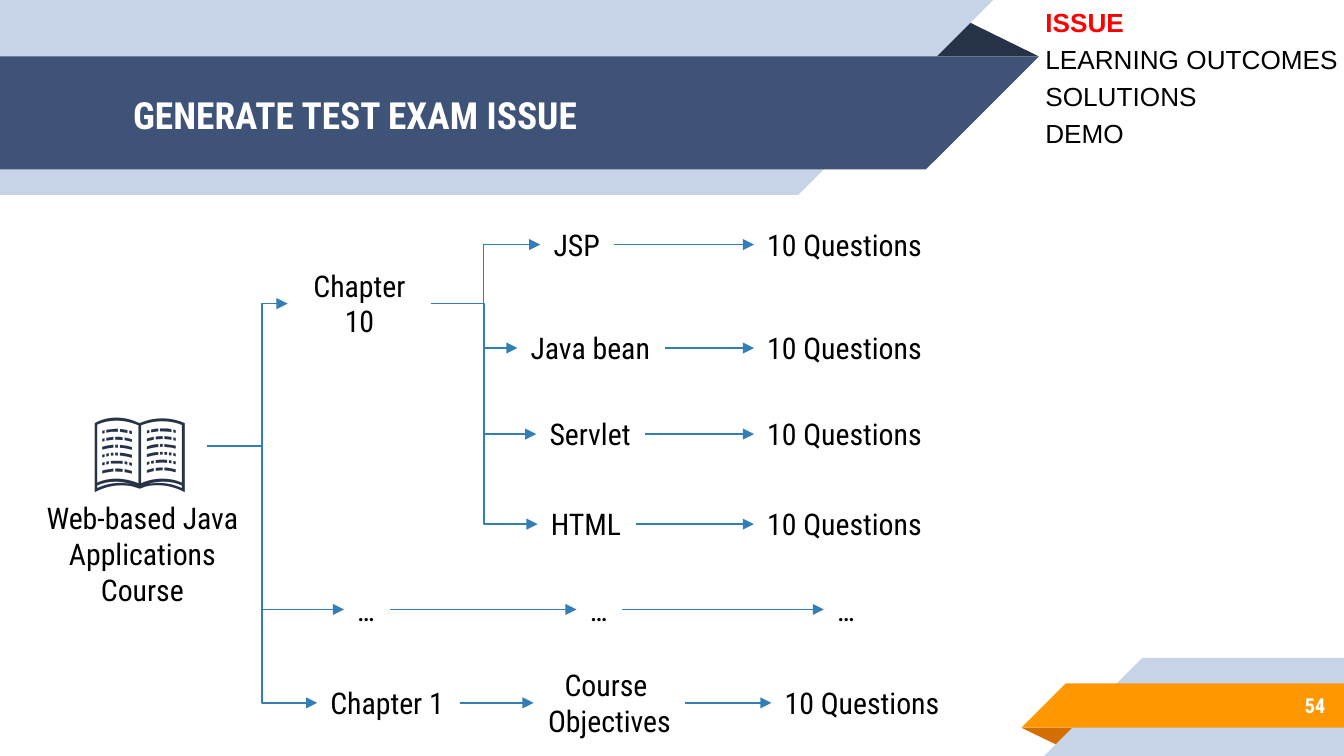
from collections import namedtuple

from lxml.etree import SubElement
from pptx import Presentation
from pptx.dml.color import RGBColor
from pptx.enum.shapes import MSO_CONNECTOR as Connector
from pptx.enum.text import MSO_ANCHOR as Anchor, MSO_AUTO_SIZE as AutoSize, PP_ALIGN as Align
from pptx.oxml.ns import qn
from pptx.util import Inches, Pt

COLORS = {"pale": "C7D3E6", "blue": "3F5378", "navy": "263248", "orange": "FF9800",
          "rust": "D26F00", "arrow": "347EB8", "white": "FFFFFF", "black": "000000",
          "red": "FF0000"}
BODY_FONT = "Roboto Condensed"
COLUMNS, ROWS = 100, 56.25          # the slide as a grid of tenth-inch cells
LINE_ROWS, PAD_ROWS = 2.7, 1.0      # height of a label: its lines and its insets

Box = namedtuple("Box", "left top width height")
Node = namedtuple("Node", "left right middle")


def cells(count):
    """Turn a number of grid cells into a length."""
    return Inches(count / 10)


def color(name):
    """Look up a colour of the palette."""
    return RGBColor.from_string(COLORS[name])


def style(paragraph, size, tint, bold=False, font=BODY_FONT, align=Align.LEFT):
    """Format a paragraph and its runs."""
    paragraph.alignment = align
    for run in paragraph.runs:
        run.font.size, run.font.bold, run.font.name = Pt(size), bold, font
        run.font.color.rgb = color(tint)


def set_insets(frame, across, down):
    """Set the insets of a text frame, in grid cells."""
    frame.margin_left = frame.margin_right = cells(across)
    frame.margin_top = frame.margin_bottom = cells(down)


def label(slide, box, text, size=16, tint="black", wrap=False, **look):
    """Add a text box and return its text frame."""
    frame = slide.shapes.add_textbox(*map(cells, box)).text_frame
    frame.text, frame.word_wrap = text, wrap
    set_insets(frame, 1, 0.5)
    for paragraph in frame.paragraphs:
        style(paragraph, size, tint, **look)
    return frame


def ribbon(slide, box, tint, outline):
    """Fill an outline whose points are given in cells from the box corner."""
    points = [(cells(box.left + x), cells(box.top + y)) for x, y in outline]
    builder = slide.shapes.build_freeform(*points[0], scale=1.0)
    builder.add_line_segments(points[1:], close=True)
    shape = builder.convert_to_shape()
    shape.shadow.inherit = False
    shape.fill.solid()
    shape.fill.fore_color.rgb = color(tint)
    shape.line.fill.background()


def header(slide, box, text):
    """Draw the folded banner with the slide title on it."""
    band_top, band_bottom = 4.2, 12.6
    reach = box.width - (band_bottom - band_top)
    ribbon(slide, box, "navy", [(68.8, band_top), (71.6, 1.4), (box.width, band_top)])
    ribbon(slide, box, "pale", [(0, 0), (73.9, 0), (73.9 - box.height, box.height),
                                (0, box.height)])
    ribbon(slide, box, "blue", [(0, band_top), (box.width, band_top),
                                (reach, band_bottom), (0, band_bottom)])
    title = slide.shapes.title
    slide.shapes.element.append(title.element)
    title.left, title.top = cells(box.left + 8.9), cells(box.top + band_top + 0.1)
    title.width, title.height = cells(57.5), cells(band_bottom - band_top)
    frame = title.text_frame
    frame.text, frame.auto_size = text, AutoSize.NONE
    frame.vertical_anchor = Anchor.MIDDLE
    set_insets(frame, 1, 1)
    style(frame.paragraphs[0], 20, "white", bold=True)


def page_corner(slide, box, number):
    """Draw the folded corner with the page number."""
    top, bottom = 1.9, 5.2
    slant = bottom - top
    ribbon(slide, box, "rust", [(0, bottom), (4.3, bottom), (2.9, 6.6)])
    ribbon(slide, box, "pale", [(9, 0), (box.width, 0), (box.width, box.height),
                                (9 - box.height, box.height)])
    ribbon(slide, box, "orange", [(slant, top), (box.width, top), (box.width, bottom),
                                  (0, bottom)])
    place = Box(box.left + 7.3, box.top + 1.8, 16.3, 3.5)
    frame = label(slide, place, number, 11, "white", wrap=True, bold=True, align=Align.RIGHT)
    frame.vertical_anchor = Anchor.MIDDLE
    set_insets(frame, 1, 1)


def agenda(slide, box, topics, current):
    """List the parts of the talk and mark the current one."""
    frame = label(slide, box, "\n".join(topics), 14, wrap=True, font="Arial")
    for topic, paragraph in zip(topics, frame.paragraphs):
        if topic == current:
            style(paragraph, 14, "red", bold=True, font="Arial")
        else:
            paragraph.space_before = Pt(3)


def arrow(slide, start, end, trunk=None):
    """Link two nodes, straight or bent at the trunk column."""
    kind = Connector.STRAIGHT if trunk is None else Connector.ELBOW
    line = slide.shapes.add_connector(
        kind, cells(start.right), cells(start.middle), cells(end.left), cells(end.middle))
    line.line.color.rgb = color("arrow")
    line.line.width = Pt(0.75)
    properties = line.element.spPr
    SubElement(properties.find(qn("a:ln")), qn("a:tailEnd"), type="triangle")
    SubElement(properties, qn("a:effectLst"))
    if trunk is not None:
        bend = (trunk - start.right) / (end.left - start.right)
        SubElement(properties.find(".//" + qn("a:avLst")), qn("a:gd"),
                   name="adj1", fmla=f"val {round(bend * 100000)}")


def course_tree(slide, box):
    """Draw the course, its chapters, their topics and the question counts."""
    def node(text, left, width, middle, lines=1, wrap=False):
        """Add a label centred on a row and return its link points."""
        left, middle = box.left + left, box.top + middle
        height = lines * LINE_ROWS + PAD_ROWS
        align = Align.CENTER if lines > 1 else Align.LEFT
        label(slide, Box(left, middle - height / 2, width, height), text,
              wrap=wrap, align=align)
        return Node(left, left + width, middle)

    def chain(*nodes):
        """Link neighbouring nodes with straight arrows."""
        for start, end in zip(nodes, nodes[1:]):
            arrow(slide, start, end)

    questions = "10 Questions"
    book = Box(box.left + 3.5, box.top + 12.1, 9.6, 9.4)
    label(slide, book, "\U0001F4D6", 50, "navy")
    course = Node(book.left, book.left + book.width, box.top + 16.9)
    node("Web-based Java Applications Course", 0, 16.6, 24.95, lines=3, wrap=True)

    last_chapter = node("Chapter 10", 19.1, 10.7, 6.3, lines=2, wrap=True)
    for text, left, width, middle in [("JSP", 37.9, 5.5, 1.9), ("Java bean", 36.2, 11, 9.6),
                                      ("Servlet", 37.6, 8.1, 16.0), ("HTML", 37.7, 7.3, 22.7)]:
        topic = node(text, left, width, middle)
        chain(topic, node(questions, 53.8, 13.6, middle))
        arrow(slide, last_chapter, topic, box.left + 33.7)

    between = [node("…", left, 3.4, 29.05) for left in (23.3, 40.6, 59)]
    first = [node("Chapter 1", 21.3, 10.6, 36),
             node("Course \nObjectives", 37.4, 11.3, 36, lines=2),
             node(questions, 55.1, 13.6, 36)]
    chain(*between)
    chain(*first)
    for chapter in (last_chapter, between[0], first[0]):
        arrow(slide, course, chapter, box.left + 17.2)


def main():
    """Build the slide and save it."""
    deck = Presentation()
    deck.slide_width, deck.slide_height = cells(COLUMNS), cells(ROWS)
    slide = deck.slides.add_slide(deck.slide_layouts[5])
    header(slide, Box(0, 0, 77.3, 14.5), "GENERATE TEST EXAM ISSUE")
    page_corner(slide, Box(76, ROWS - 7.3, COLUMNS - 76, 7.3), "54")
    course_tree(slide, Box(2.3, 16.3, 68.7, 39.2))
    agenda(slide, Box(76.8, 0, 24, 11.3),
           ["ISSUE", "LEARNING OUTCOMES", "SOLUTIONS", "DEMO"], "ISSUE")
    deck.save("out.pptx")


main()
